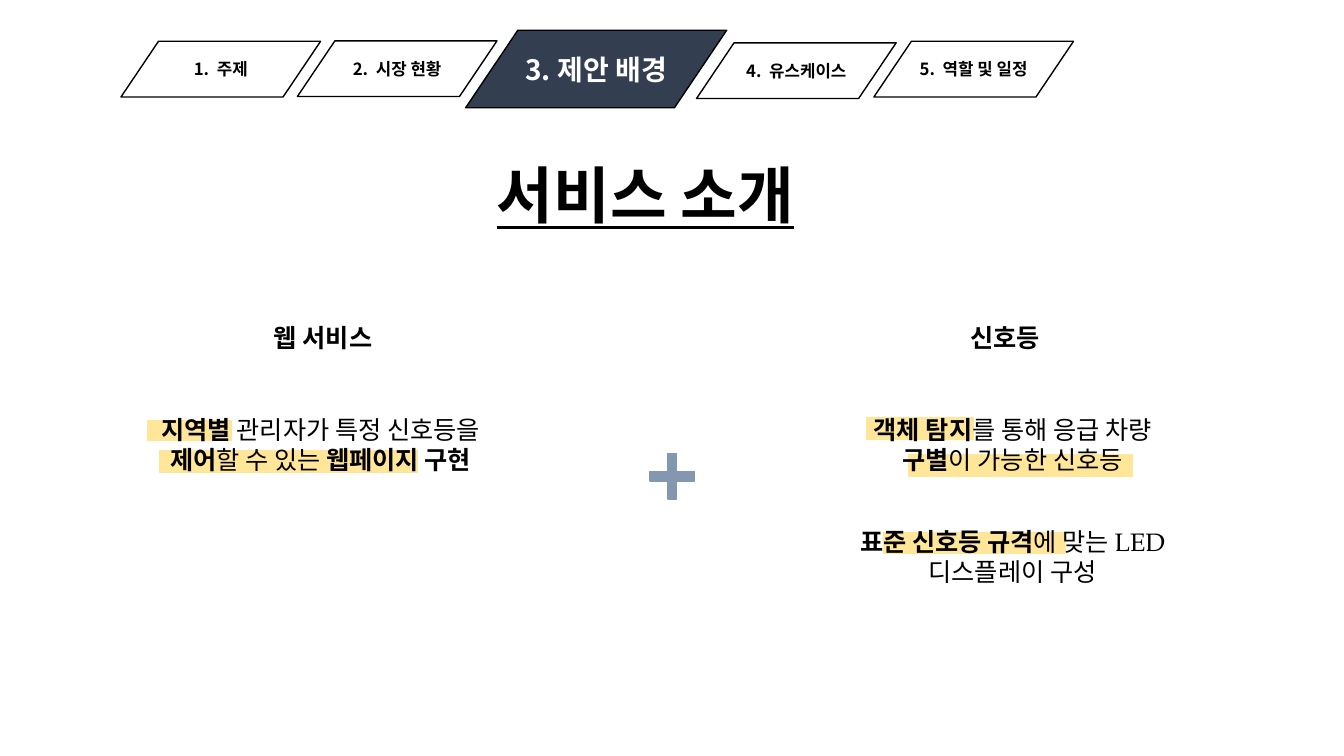
from lxml.etree import SubElement
from pptx import Presentation
from pptx.dml.color import RGBColor
from pptx.enum.shapes import MSO_SHAPE
from pptx.enum.text import MSO_ANCHOR, PP_ALIGN
from pptx.oxml.ns import qn
from pptx.util import Pt

BLACK = RGBColor(0x00, 0x00, 0x00)
WHITE = RGBColor(0xFF, 0xFF, 0xFF)
NAVY = RGBColor(0x33, 0x3F, 0x50)
STEEL = RGBColor(0x84, 0x97, 0xB0)
YELLOW = RGBColor(0xFF, 0xE6, 0x99)
SANS = "Noto Sans CJK KR"
NARROW = "Arial Narrow"
SERIF = "TeX Gyre Pagella"


def add_run(para, text, size=18, font=NARROW, color=BLACK, bold=True, under=False):
    run = para.add_run()
    run.text = text
    face = run.font
    face.size = Pt(size)
    face.bold = bold
    if under:
        face.underline = True
    face.color.rgb = color
    face.name = font
    # Hangul takes its typeface from the East Asian slot
    SubElement(run._r.get_or_add_rPr(), qn("a:ea"), typeface=SANS)


def add_box(slide, place, runs, align=PP_ALIGN.LEFT):
    """Add a text box; runs holds (text, format) pairs of one paragraph."""
    frame = slide.shapes.add_textbox(*map(Pt, place)).text_frame
    frame.word_wrap = True
    para = frame.paragraphs[0]
    para.alignment = align
    for text, style in runs:
        add_run(para, text, **style)


def add_form(slide, kind, place, fill, line, adjust=None):
    form = slide.shapes.add_shape(kind, *map(Pt, place))
    form.shadow.inherit = False
    form.fill.solid()
    form.fill.fore_color.rgb = fill
    form.line.color.rgb = line
    form.line.width = Pt(1)
    if adjust is not None:
        form.adjustments[0] = adjust
    return form


def add_tab(slide, place, text, fill=WHITE, **style):
    tab = add_form(slide, MSO_SHAPE.PARALLELOGRAM, place, fill, BLACK, 0.674)
    frame = tab.text_frame
    frame.word_wrap = False
    frame.vertical_anchor = MSO_ANCHOR.MIDDLE
    para = frame.paragraphs[0]
    para.alignment = PP_ALIGN.CENTER
    add_run(para, text, font=SANS, **style)


def main():
    deck = Presentation()
    deck.slide_width, deck.slide_height = Pt(960), Pt(540)
    slide = deck.slides.add_slide(deck.slide_layouts[6])
    plain = {"bold": False}
    strong = {"bold": True}

    marks = [
        (105.8, 300.2, 59.8, 14.4),
        (619.2, 298.1, 76.3, 15.8),
        (631.4, 380.2, 129.6, 15.1),
        (649.4, 324.7, 159.1, 15.8),
        (113.8, 321.8, 184.3, 15.8),
    ]
    for place in marks:
        add_form(slide, MSO_SHAPE.RECTANGLE, place, YELLOW, YELLOW)

    title = {"size": 44, "font": SANS, "under": True}
    add_box(slide, (347.8, 108.7, 236.2, 60.5), [("서비스 소개", title)])
    add_box(slide, (188.6, 226.8, 100.8, 28.8), [("웹 서비스", strong)])
    add_box(slide, (686.2, 226.8, 74.9, 28.8), [("신호등", strong)])

    notes = [
        ((92.9, 292.3, 272.2, 51.1), [
            ("지역별", strong), (" 관리자가 특정 신호등을 ", plain),
            ("제어", strong), ("할 수 있는 ", plain),
            ("웹페이지 구현", strong)]),
        ((607, 292.3, 232.6, 51.1), [
            ("객체 탐지", strong), ("를 통해 응급 차량 ", plain),
            ("구별", strong), ("이 가능한 신호등", plain)]),
        ((607, 372.2, 232.6, 51.1), [
            ("표준 신호등 규격", strong), ("에 맞는 ", plain),
            ("LED ", {"bold": False, "font": SERIF}),
            ("디스플레이 구성", plain)]),
    ]
    for place, runs in notes:
        add_box(slide, place, runs, PP_ALIGN.CENTER)

    add_form(slide, MSO_SHAPE.CROSS, (464.4, 324, 31.7, 32.4), STEEL, STEEL, 0.4)

    add_tab(slide, (332.6, 21.6, 186.5, 55.4), "3. 제안 배경", NAVY,
            size=20, color=WHITE)
    tabs = [
        (86.4, 29.5, "1.  주제"),
        (212.4, 29.2, "2.  시장 현황"),
        (497.5, 30.6, "4.  유스케이스"),
        (624.2, 29.5, "5.  역할 및 일정"),
    ]
    for left, top, text in tabs:
        add_tab(slide, (left, top, 142.6, 39.8), text, size=12)

    deck.save("out.pptx")


if __name__ == "__main__":
    main()
